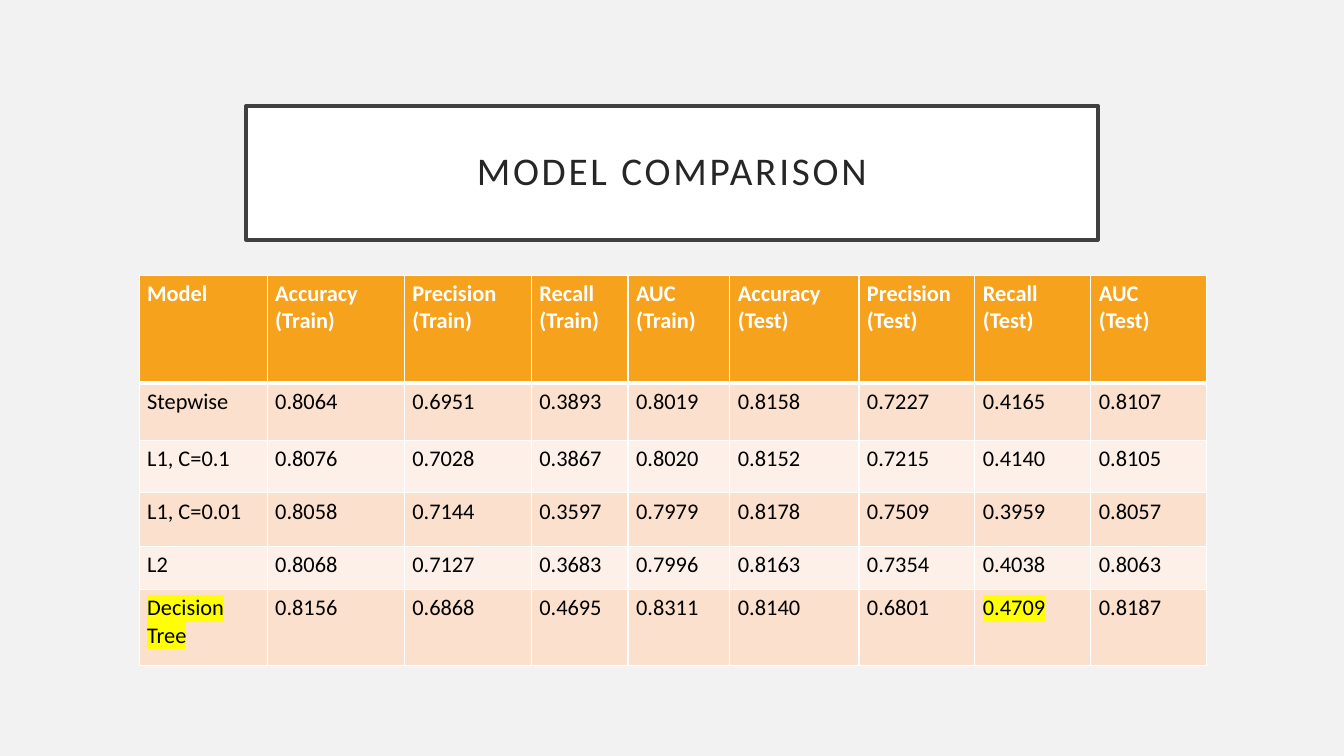
from dataclasses import dataclass

from lxml.etree import SubElement
from pptx import Presentation
from pptx.dml.color import RGBColor
from pptx.enum.text import MSO_ANCHOR, MSO_AUTO_SIZE, PP_ALIGN
from pptx.oxml import parse_xml
from pptx.oxml.ns import nsdecls, qn
from pptx.slide import Slide
from pptx.table import _Cell
from pptx.text.text import _Paragraph
from pptx.util import Emu, Pt

SCALE = 9144  # EMU per px, 100 px to the inch


@dataclass(frozen=True)
class Theme:
    font: str = "Calibri"
    back: str = "F2F2F2"
    paper: str = "FFFFFF"
    frame: str = "404040"
    title: str = "262626"
    head: str = "F6A21D"
    odd: str = "FBE0CD"
    even: str = "FDF0E8"
    ink: str = "000000"
    mark: str = "FFFF00"
    title_size: int = 28
    cell_size: int = 16
    rule: int = 1
    head_rule: int = 3


@dataclass(frozen=True)
class Row:
    height: int
    texts: tuple[str, ...]
    marked: tuple[int, ...] = ()


THEME = Theme()
WIDTHS = (127, 136, 126, 96, 101, 128, 115, 115, 115)
ROWS = (
    Row(107, ("Model", "Accuracy (Train)", "Precision (Train)", "Recall (Train)",
              "AUC (Train)", "Accuracy (Test)", "Precision (Test)",
              "Recall (Test)", "AUC\n(Test)")),
    Row(57, ("Stepwise", "0.8064", "0.6951", "0.3893", "0.8019",
             "0.8158", "0.7227", "0.4165", "0.8107")),
    Row(52, ("L1, C=0.1", "0.8076", "0.7028", "0.3867", "0.8020",
             "0.8152", "0.7215", "0.4140", "0.8105")),
    Row(53, ("L1, C=0.01", "0.8058", "0.7144", "0.3597", "0.7979",
             "0.8178", "0.7509", "0.3959", "0.8057")),
    Row(43, ("L2", "0.8068", "0.7127", "0.3683", "0.7996",
             "0.8163", "0.7354", "0.4038", "0.8063")),
    Row(75, ("Decision Tree", "0.8156", "0.6868", "0.4695", "0.8311",
             "0.8140", "0.6801", "0.4709", "0.8187"), marked=(0, 7)),
)


def px(count: int) -> Emu:
    return Emu(count * SCALE)


def rgb(code: str) -> RGBColor:
    return RGBColor.from_string(code)


def add_run(para: _Paragraph, text: str, size: int, color: str,
            bold: bool = False, mark: bool = False, gap: int = 0) -> None:
    """Add one styled run; gap is the letter spacing in points."""
    run = para.add_run()
    run.text = text
    font = run.font
    font.name, font.size, font.bold = THEME.font, Pt(size), bold
    font.color.rgb = rgb(color)
    props = run._r.get_or_add_rPr()
    if gap:
        props.set("spc", str(gap * 100))
    if mark:
        light = parse_xml(f'<a:highlight {nsdecls("a")}/>')
        SubElement(light, qn("a:srgbClr"), val=THEME.mark)
        props.find(qn("a:solidFill")).addnext(light)


def add_title(slide: Slide) -> None:
    box = slide.shapes.title
    box.left, box.top, box.width, box.height = map(px, (244, 105, 845, 133))
    box.fill.solid()
    box.fill.fore_color.rgb = rgb(THEME.paper)
    box.line.color.rgb = rgb(THEME.frame)
    box.line.width = Pt(2.5)
    frame = box.text_frame
    frame.word_wrap = True
    frame.auto_size = MSO_AUTO_SIZE.NONE
    frame.vertical_anchor = MSO_ANCHOR.MIDDLE
    frame.margin_left = frame.margin_right = px(20)
    frame.margin_top = frame.margin_bottom = px(20)
    para = frame.paragraphs[0]
    para.alignment = PP_ALIGN.CENTER
    para.line_spacing = 0.9
    add_run(para, "MODEL COMPARISON", THEME.title_size, THEME.title, gap=2)


def set_edges(cell: _Cell, top: int, bottom: int) -> None:
    """Draw the four cell borders, with widths in points."""
    props = cell._tc.get_or_add_tcPr()
    sides = {"L": THEME.rule, "R": THEME.rule, "T": top, "B": bottom}
    for place, (side, width) in enumerate(sides.items()):
        edge = parse_xml(f'<a:ln{side} {nsdecls("a")} w="{Pt(width)}"/>')
        fill = SubElement(edge, qn("a:solidFill"))
        SubElement(fill, qn("a:srgbClr"), val=THEME.paper)
        props.insert(place, edge)


def fill_cell(cell: _Cell, text: str, level: int, mark: bool) -> None:
    head = level == 0
    cell.fill.solid()
    shade = THEME.head if head else THEME.odd if level % 2 else THEME.even
    cell.fill.fore_color.rgb = rgb(shade)
    cell.margin_left = cell.margin_right = px(8)
    cell.margin_top = cell.margin_bottom = px(5)
    set_edges(cell, THEME.head_rule if level == 1 else THEME.rule,
              THEME.head_rule if head else THEME.rule)
    frame = cell.text_frame
    for index, line in enumerate(text.split("\n")):
        para = frame.add_paragraph() if index else frame.paragraphs[0]
        add_run(para, line, THEME.cell_size,
                THEME.paper if head else THEME.ink, bold=head, mark=mark)


def add_scores(slide: Slide) -> None:
    high = sum(row.height for row in ROWS)
    table = slide.shapes.add_table(len(ROWS), len(WIDTHS), px(138), px(273),
                                   px(sum(WIDTHS)), px(high)).table
    for col, width in zip(table.columns, WIDTHS):
        col.width = px(width)
    for level, row in enumerate(ROWS):
        table.rows[level].height = px(row.height)
        for index, text in enumerate(row.texts):
            fill_cell(table.cell(level, index), text, level, index in row.marked)


def main() -> None:
    deck = Presentation()
    deck.slide_width, deck.slide_height = px(1333), px(750)
    slide = deck.slides.add_slide(deck.slide_layouts.get_by_name("Title Only"))
    slide.background.fill.solid()
    slide.background.fill.fore_color.rgb = rgb(THEME.back)
    add_title(slide)
    add_scores(slide)
    deck.save("out.pptx")


if __name__ == "__main__":
    main()
